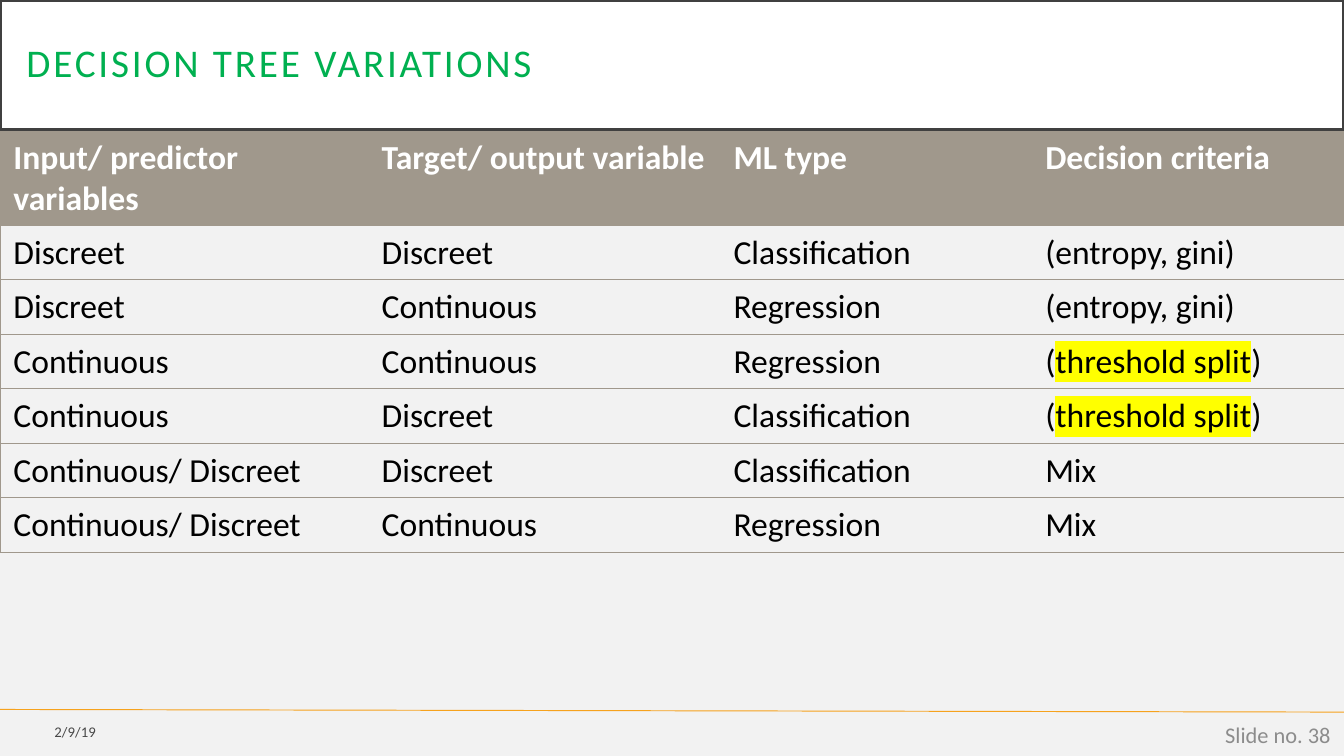
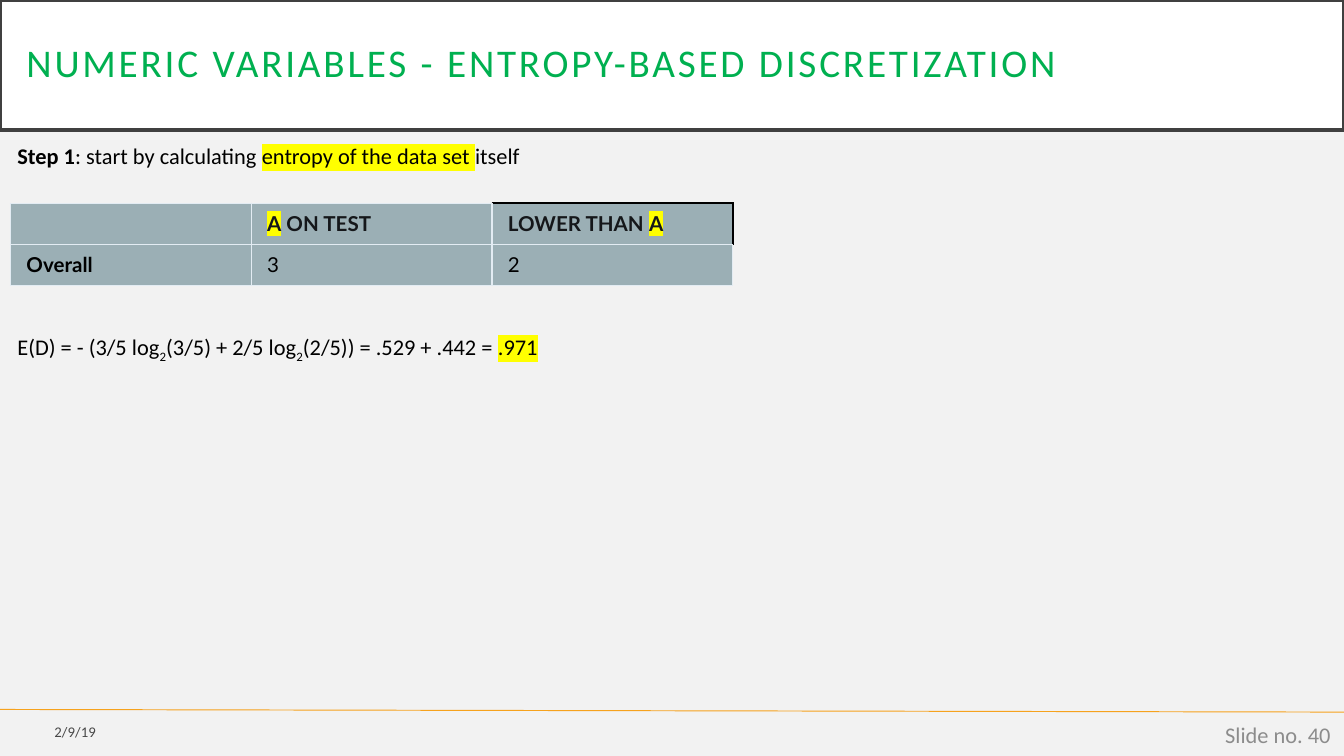
from dataclasses import dataclass
from typing import Optional

from lxml.etree import SubElement
from pptx import Presentation
from pptx.dml.color import RGBColor
from pptx.enum.shapes import MSO_CONNECTOR
from pptx.enum.text import MSO_ANCHOR, MSO_AUTO_SIZE, PP_ALIGN
from pptx.oxml.ns import qn
from pptx.util import Cm, Pt

PAGE_WIDTH, PAGE_HEIGHT = 25.4, 14.29
BACKGROUND = "F2F2F2"
WHITE = "FFFFFF"
BLACK = "000000"
GREEN = "00B050"
CHARCOAL = "404040"
ORANGE = "F6A21D"
YELLOW = "FFFF00"
TAUPE = "A0988C"
SLATE = "9BAFB5"
PALE_BLUE = "E3ECF3"
INK = "15171A"
GREY = "8C8C8C"
PLAIN_TABLE_STYLE = "{2D5ABB26-0587-4C30-8999-92F81FD0307C}"


@dataclass(frozen=True)
class Style:
    size: float
    color: str = BLACK
    font: str = "Calibri"
    bold: bool = False
    spacing: int = 0
    opacity: int = 100


@dataclass(frozen=True)
class Span:
    text: str
    marked: bool = False
    bold: Optional[bool] = None
    subscript: bool = False


@dataclass(frozen=True)
class Area:
    left: float
    top: float
    width: float
    height: float

    def lengths(self) -> tuple:
        return Cm(self.left), Cm(self.top), Cm(self.width), Cm(self.height)


@dataclass(frozen=True)
class Border:
    color: str
    width: float
    sides: str


@dataclass(frozen=True)
class Footer:
    area: Area
    style: Style


TITLE = Style(21, GREEN, spacing=150)
BODY = Style(12)
TABLE_HEADER = Style(18, WHITE, bold=True)
TABLE_BODY = Style(18)
COUNT_HEADER = Style(11, INK, "Lato", True)
COUNT_LABEL = Style(11, BLACK, "Lato", True)
COUNT_VALUE = Style(11, BLACK, "Lato")
TITLE_AREA = Area(0, 0, PAGE_WIDTH, 2.46)
DATE = Footer(Area(0, 13.49, 2.06, 0.69), Style(7.9, opacity=70))
NUMBER = Footer(Area(19.69, 13.51, 5.71, 0.76), Style(12, GREY))

THRESHOLD = [Span("("), Span("threshold split", marked=True), Span(")")]
VARIATIONS = [
    ["Input/ predictor variables", "Target/ output variable", "ML type", "Decision criteria"],
    ["Discreet", "Discreet", "Classification", "(entropy, gini)"],
    ["Discreet", "Continuous", "Regression", "(entropy, gini)"],
    ["Continuous", "Continuous", "Regression", THRESHOLD],
    ["Continuous", "Discreet", "Classification", THRESHOLD],
    ["Continuous/ Discreet", "Discreet", "Classification", "Mix"],
    ["Continuous/ Discreet", "Continuous", "Regression", "Mix"],
]
COUNTS = [
    ["", [Span("A", marked=True), Span(" ON TEST")],
     [Span("LOWER THAN "), Span("A", marked=True)]],
    ["Overall", "3", "2"],
]
STEP = [
    Span("Step 1", bold=True),
    Span(": start by calculating "),
    Span("entropy of the data set ", marked=True),
    Span("itself"),
]
ENTROPY = [
    Span("E(D) = - (3/5 log"),
    Span("2", subscript=True),
    Span("(3/5) + 2/5 log"),
    Span("2", subscript=True),
    Span("(2/5)) = .529 + .442 = "),
    Span(".971", marked=True),
]


def rgb(value: str) -> RGBColor:
    return RGBColor.from_string(value)


def write(para, content, style: Style) -> None:
    spans = [Span(content)] if isinstance(content, str) else content
    for span in spans:
        run = para.add_run()
        run.text = span.text
        run.font.size = Pt(style.size)
        run.font.bold = style.bold if span.bold is None else span.bold
        run.font.color.rgb = rgb(style.color)
        properties = run.font._element
        if style.opacity < 100:
            color = properties.find(qn("a:solidFill"))[0]
            SubElement(color, qn("a:alpha"), val=str(style.opacity * 1000))
        if span.marked:
            highlight = SubElement(properties, qn("a:highlight"))
            SubElement(highlight, qn("a:srgbClr"), val=YELLOW)
        if span.subscript:
            properties.set("baseline", "-25000")
        if style.spacing:
            properties.set("spc", str(style.spacing))
        run.font.name = style.font


def add_footer(page, footer: Footer, text: str) -> None:
    box = page.shapes.add_textbox(*footer.area.lengths())
    box.text_frame.word_wrap = True
    box.text_frame.vertical_anchor = MSO_ANCHOR.MIDDLE
    para = box.text_frame.paragraphs[0]
    para.alignment = PP_ALIGN.RIGHT
    write(para, text, footer.style)


def add_page(deck, heading: str, number: int):
    page = deck.slides.add_slide(deck.slide_layouts[5])
    rule = page.shapes.add_connector(
        MSO_CONNECTOR.STRAIGHT, Cm(0), Cm(13.41), Cm(PAGE_WIDTH), Cm(13.46))
    rule.line.color.rgb = rgb(ORANGE)
    rule.line.width = Pt(0.5)
    SubElement(rule._element.spPr, qn("a:effectLst"))

    title = page.shapes.title
    title.left, title.top, title.width, title.height = TITLE_AREA.lengths()
    title.fill.solid()
    title.fill.fore_color.rgb = rgb(WHITE)
    title.line.color.rgb = rgb(CHARCOAL)
    title.line.width = Pt(2.5)
    frame = title.text_frame
    frame.auto_size = MSO_AUTO_SIZE.NONE
    frame.word_wrap = True
    frame.vertical_anchor = MSO_ANCHOR.MIDDLE
    frame.margin_left = frame.margin_right = Cm(0.5)
    frame.margin_top = frame.margin_bottom = Cm(0.5)
    para = frame.paragraphs[0]
    para.alignment = PP_ALIGN.LEFT
    para.line_spacing = 0.9
    write(para, heading, TITLE)

    add_footer(page, DATE, "2/9/19")
    add_footer(page, NUMBER, f"Slide no. {number}")
    return page


def add_plain_table(page, left: float, top: float, widths: list, row_height: float, rows: int):
    area = Area(left, top, sum(widths), row_height * rows)
    table = page.shapes.add_table(rows, len(widths), *area.lengths()).table
    table.first_row = table.horz_banding = False
    table._tbl.tblPr.find(qn("a:tableStyleId")).text = PLAIN_TABLE_STYLE
    for column, width in zip(table.columns, widths):
        column.width = Cm(width)
    for row in table.rows:
        row.height = Cm(row_height)
    return table


def format_cell(cell, content, style: Style, fill: str, borders: list) -> None:
    properties = cell._tc.get_or_add_tcPr()
    for side in "LRTB":
        for border in borders:
            if side in border.sides:
                line = SubElement(properties, qn(f"a:ln{side}"), w=str(Pt(border.width)))
                solid = SubElement(line, qn("a:solidFill"))
                SubElement(solid, qn("a:srgbClr"), val=border.color)
    if fill:
        cell.fill.solid()
        cell.fill.fore_color.rgb = rgb(fill)
    else:
        cell.fill.background()
    para = cell.text_frame.paragraphs[0]
    if content:
        write(para, content, style)
    else:
        SubElement(para._p, qn("a:endParaRPr"), sz=str(style.size * 100))


def build_variations(deck) -> None:
    page = add_page(deck, "DECISION TREE VARIATIONS", 38)
    table = add_plain_table(page, 0, 2.48, [6.96, 6.65, 5.89, 5.9], 1.03, len(VARIATIONS))
    for row, contents in enumerate(VARIATIONS):
        style, fill = (TABLE_BODY, "") if row else (TABLE_HEADER, TAUPE)
        for column, content in enumerate(contents):
            outer = {0: "L", len(contents) - 1: "R"}.get(column, "")
            format_cell(table.cell(row, column), content, style, fill,
                        [Border(TAUPE, 0.5, "TB" + outer)])


def build_discretization(deck) -> None:
    page = add_page(deck, "NUMERIC VARIABLES - ENTROPY-BASED DISCRETIZATION", 40)
    box = page.shapes.add_textbox(*Area(0.08, 2.57, 15.14, 4.37).lengths())
    frame = box.text_frame
    frame.word_wrap = True
    write(frame.paragraphs[0], STEP, BODY)
    formula = frame.add_paragraph()
    formula.space_before = Pt(88)
    write(formula, ENTROPY, BODY)

    table = add_plain_table(page, 0.2, 3.84, [4.55] * 3, 0.78, len(COUNTS))
    for row, contents in enumerate(COUNTS):
        for column, content in enumerate(contents):
            cell = table.cell(row, column)
            cell.margin_left = cell.margin_right = Cm(0.3)
            cell.margin_top = cell.margin_bottom = Cm(0.15)
            style = COUNT_HEADER if row == 0 else COUNT_VALUE if column else COUNT_LABEL
            borders = [Border(PALE_BLUE, 0.75, "LRTB")]
            if (row, column) == (0, 2):
                borders = [Border(PALE_BLUE, 0.75, "LB"), Border(BLACK, 1, "RT")]
            format_cell(cell, content, style, SLATE, borders)


def main() -> None:
    deck = Presentation()
    deck.slide_width, deck.slide_height = Cm(PAGE_WIDTH), Cm(PAGE_HEIGHT)
    background = deck.slide_master.background.fill
    background.solid()
    background.fore_color.rgb = rgb(BACKGROUND)
    build_variations(deck)
    build_discretization(deck)
    deck.save("out.pptx")


if __name__ == "__main__":
    main()
